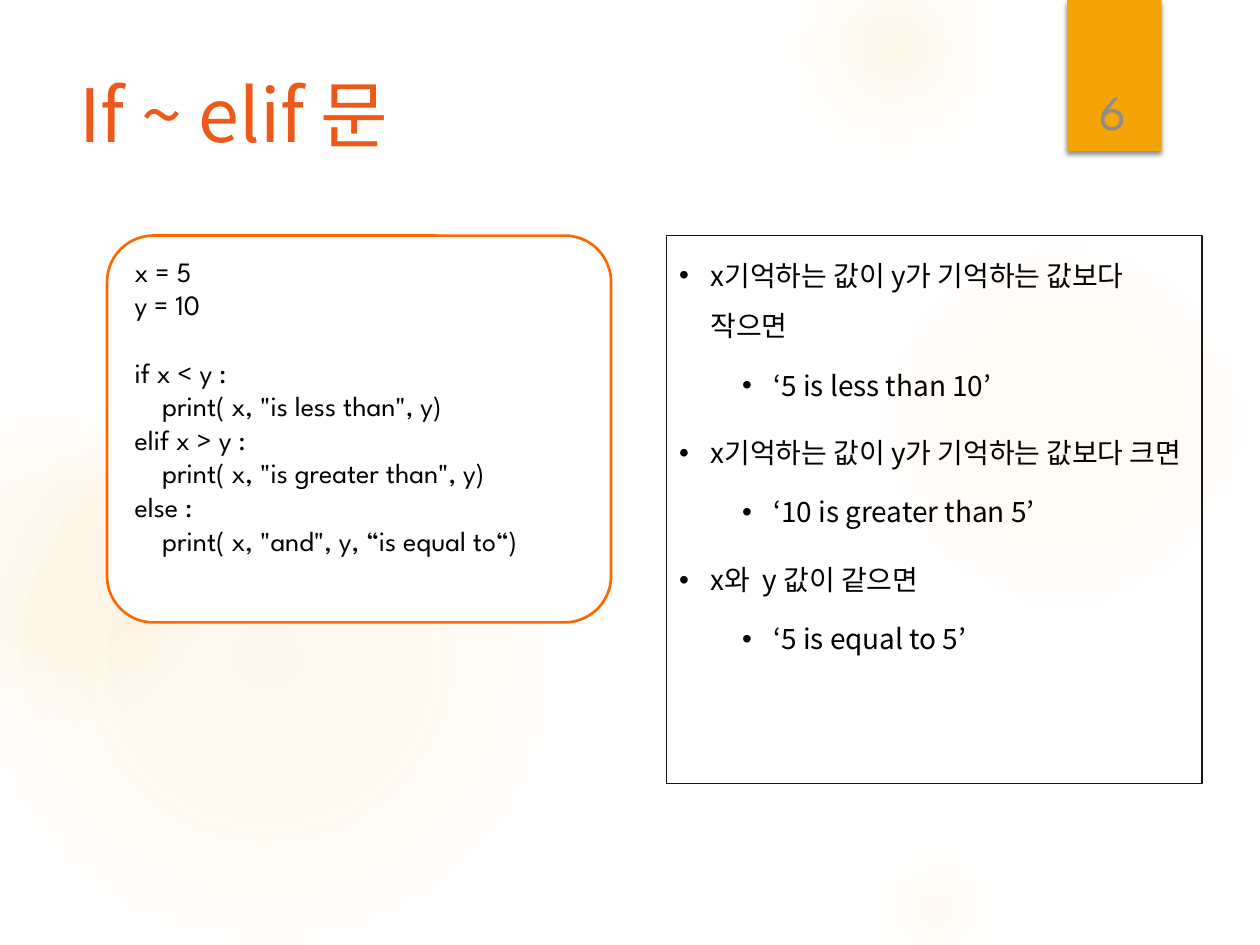
from dataclasses import dataclass

from lxml import etree
from pptx import Presentation
from pptx import util as u
from pptx.dml.color import RGBColor
from pptx.enum import shapes, text
from pptx.oxml import ns


@dataclass(frozen=True)
class Theme:
    glow: str = "FAC96A"
    tab: str = "F5A408"
    heading: str = "EE5818"
    ink: str = "000000"
    frame: str = "181818"
    code_line: str = "FF6600"
    paper: str = "FFFFFF"
    number: str = "8C8C8C"
    korean: str = "Noto Sans CJK KR"
    latin: str = "League Spartan"
    title_size: int = 42
    body_size: int = 16
    number_size: int = 28


def child(parent, tag, **attributes):
    return etree.SubElement(parent, ns.qn(tag), attributes)


class Deck:
    def __init__(self, theme):
        self.theme = theme
        self.file = Presentation()
        self.file.slide_width, self.file.slide_height = u.Inches(10), u.Inches(7.5)
        self.slide = self.file.slides.add_slide(self.file.slide_layouts[1])

    def box(self, left, top, width, height):
        wide, high = self.file.slide_width, self.file.slide_height
        return [int(share * side / 100) for share, side in
                zip((left, top, width, height), (wide, high, wide, high))]

    def place(self, holder, area):
        holder.left, holder.top, holder.width, holder.height = self.box(*area)
        self.slide.shapes._spTree.append(holder._element)
        return holder

    def style(self, frame, face, size, color):
        for paragraph in frame.paragraphs:
            paragraph.font.size = u.Pt(size)
            for run in paragraph.runs:
                run.font.size = u.Pt(size)
                run.font.name = face
                run.font.color.rgb = RGBColor.from_string(color)
                child(run._r.get_or_add_rPr(), "a:ea", typeface=face)

    def panel(self, kind, area, fill, line=None, weight=0):
        panel = self.slide.shapes.add_shape(kind, *self.box(*area))
        panel.shadow.inherit = False
        panel.fill.solid()
        panel.fill.fore_color.rgb = RGBColor.from_string(fill)
        self.outline(panel, line, weight)
        return panel

    def outline(self, panel, color, weight):
        if color is None:
            panel.line.fill.background()
            return
        panel.line.color.rgb = RGBColor.from_string(color)
        panel.line.width = u.Pt(weight)

    def glow(self, left, top, diameter, stops):
        area = left, top, diameter, diameter * 4 / 3
        halo = self.panel(shapes.MSO_SHAPE.OVAL, area, self.theme.glow)
        properties = halo._element.spPr
        solid = properties.find(ns.qn("a:solidFill"))
        gradient = etree.Element(ns.qn("a:gradFill"), rotWithShape="1")
        properties.replace(solid, gradient)
        colors = child(gradient, "a:gsLst")
        for position, opacity in stops:
            stop = child(colors, "a:gs", pos=str(position * 1000))
            tint = child(stop, "a:srgbClr", val=self.theme.glow)
            child(tint, "a:alpha", val=str(opacity * 1000))
        circle = child(gradient, "a:path", path="circle")
        child(circle, "a:fillToRect", **dict.fromkeys("ltrb", "50000"))

    def tab(self, area):
        tab = self.panel(shapes.MSO_SHAPE.RECTANGLE, area, self.theme.tab)
        effects = tab._element.spPr.find(ns.qn("a:effectLst"))
        shadow = child(effects, "a:outerShdw", blurRad=str(u.Pt(3)),
                       dist=str(u.Pt(2)), dir="5400000", rotWithShape="0")
        child(child(shadow, "a:srgbClr", val=self.theme.ink), "a:alpha", val="45000")

    def title(self, wording, area):
        heading = self.place(self.slide.shapes.title, area)
        frame = heading.text_frame
        frame.text = wording
        frame.vertical_anchor = text.MSO_ANCHOR.TOP
        frame.auto_size = text.MSO_AUTO_SIZE.NONE
        frame.paragraphs[0].alignment = text.PP_ALIGN.LEFT
        self.style(frame, self.theme.korean, self.theme.title_size, self.theme.heading)

    def outcomes(self, cases, area):
        listing = self.place(self.slide.placeholders[1], area)
        self.outline(listing, self.theme.frame, 0.75)
        frame = listing.text_frame
        frame.auto_size = text.MSO_AUTO_SIZE.NONE
        lines = [line for case in cases for line in case]
        frame.text = "\n".join(lines)
        for index, paragraph in enumerate(frame.paragraphs):
            level = index % 2
            paragraph.level = level
            paragraph.line_spacing = 1.5
            paragraph.space_before = u.Pt((10, 5)[level] if index else 0)
            properties = paragraph._p.get_or_add_pPr()
            properties.set("marL", str(u.Inches((0.25, 0.75)[level])))
            properties.set("indent", str(u.Inches(-0.25)))
            child(properties, "a:buFont", typeface="Arial")
            child(properties, "a:buChar", char="•")
        self.style(frame, self.theme.korean, self.theme.body_size, self.theme.ink)

    def label(self, wording, area, size, color):
        frame = self.slide.shapes.add_textbox(*self.box(*area)).text_frame
        frame.word_wrap = True
        frame.text = wording
        self.style(frame, self.theme.latin, size, color)
        return frame

    def code(self, source, area):
        border = self.panel(shapes.MSO_SHAPE.ROUNDED_RECTANGLE, area,
                            self.theme.paper, self.theme.code_line, 1.5)
        border.adjustments[0] = 0.12
        left, top, width, height = area
        inner = left + 1.2, top + 1.33, width - 1.1, height - 7.3
        self.label(source, inner, self.theme.body_size, self.theme.ink)

    def page_number(self, number, area):
        frame = self.label(number, area, self.theme.number_size, self.theme.number)
        frame.vertical_anchor = text.MSO_ANCHOR.BOTTOM
        frame.paragraphs[0].alignment = text.PP_ALIGN.CENTER


GLOWS = [
    (68.9, 24.4, 30.8, [(0, 7), (36, 6), (69, 0)]),
    (62.2, -6.67, 17.5, [(0, 14), (36, 7), (73, 0)]),
    (68.9, 88.93, 10.8, [(0, 10), (31, 5), (66, 0)]),
    (-1.7, 38.93, 45.8, [(0, 11), (36, 10), (75, 0)]),
    (-9.2, 42.27, 25.8, [(0, 8), (36, 8), (72, 0)]),
]

CASES = [
    ("x기억하는 값이 y가 기억하는 값보다 작으면", "‘5 is less than 10’"),
    ("x기억하는 값이 y가 기억하는 값보다 크면", "‘10 is greater than 5’"),
    ("x와  y 값이 같으면", "‘5 is equal to 5’"),
]

SOURCE = """x = 5
y = 10

if x < y :
    print( x, "is less than", y)
elif x > y :
    print( x, "is greater than", y)
else :
    print( x, "and", y, “is equal to“)"""


def main():
    deck = Deck(Theme())
    for glow in GLOWS:
        deck.glow(*glow)
    deck.tab((84.7, 0, 7.5, 16))
    deck.title("If ~ elif 문", (5.3, 6.67, 77.2, 20.4))
    deck.outcomes(CASES, (52.9, 24.93, 42.5, 58))
    deck.code(SOURCE, (8.5, 24.93, 40, 40.93))
    deck.page_number("6", (84.9, 4.27, 6.9, 11.2))
    deck.file.save("out.pptx")


if __name__ == "__main__":
    main()
